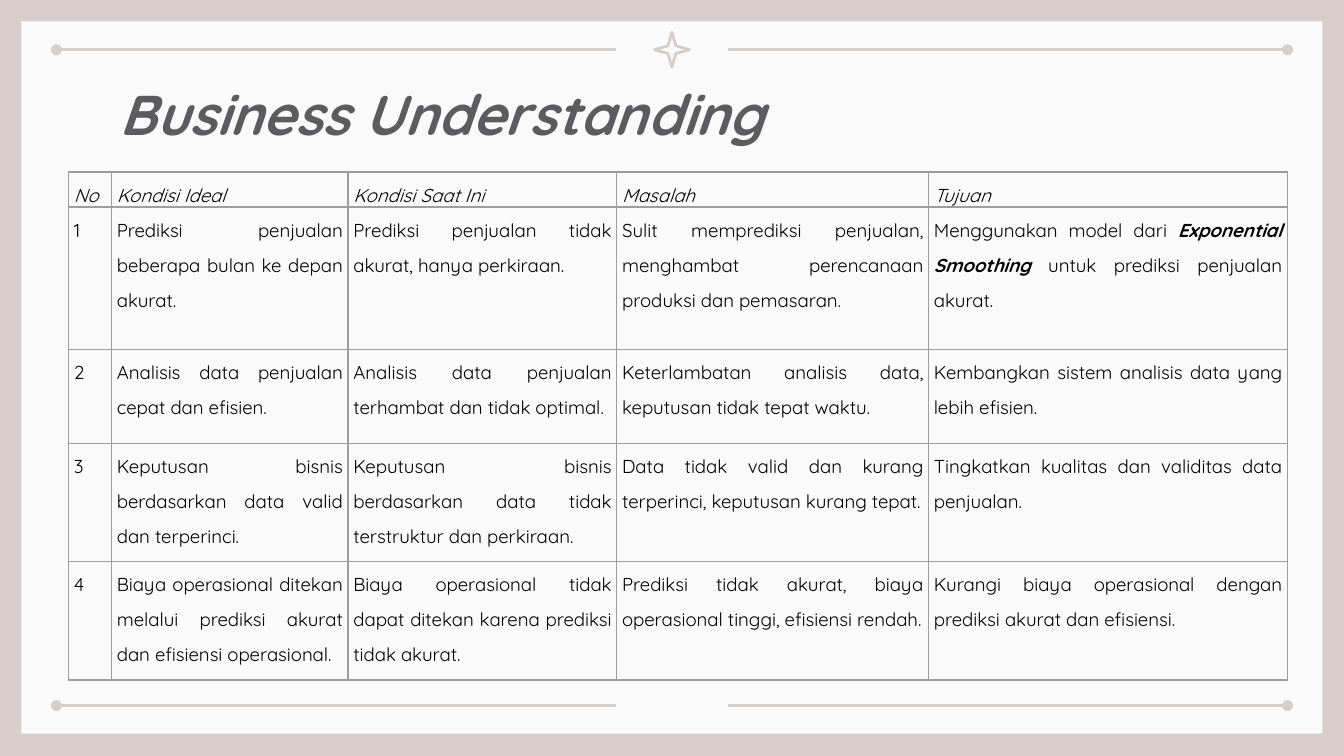
"""Build the Business Understanding slide with its framed table."""
from pptx import Presentation
from pptx.dml.color import RGBColor
from pptx.enum.shapes import MSO_CONNECTOR, MSO_SHAPE
from pptx.enum.text import MSO_ANCHOR, PP_ALIGN
from pptx.oxml import parse_xml
from pptx.oxml.ns import nsdecls
from pptx.util import Inches, Pt

BEIGE = RGBColor(0xD8, 0xCE, 0xC9)
PAPER = RGBColor(0xFA, 0xFA, 0xFA)
GREY = RGBColor(0x5C, 0x5C, 0x5F)
BORDER = RGBColor(0x9E, 0x9E, 0x9E)
BLACK = RGBColor(0, 0, 0)
FONT = "Quicksand"

COLUMN_WIDTHS = [0.32, 1.76, 2, 2.32, 2.67]
ROW_HEIGHTS = [0.26, 1.06, 0.7, 0.88, 0.88]
EMPHASIS_MARK = "*"
ROWS = [
    ["No", "Kondisi Ideal", "Kondisi Saat Ini", "Masalah", "Tujuan"],
    ["1", "Prediksi penjualan beberapa bulan ke depan akurat.",
     "Prediksi penjualan tidak akurat, hanya perkiraan.",
     "Sulit memprediksi penjualan, menghambat perencanaan produksi dan pemasaran.",
     "Menggunakan model dari *Exponential Smoothing* untuk prediksi penjualan akurat."],
    ["2", "Analisis data penjualan cepat dan efisien.",
     "Analisis data penjualan terhambat dan tidak optimal.",
     "Keterlambatan analisis data, keputusan tidak tepat waktu.",
     "Kembangkan sistem analisis data yang lebih efisien."],
    ["3", "Keputusan bisnis berdasarkan data valid dan terperinci.",
     "Keputusan bisnis berdasarkan data tidak terstruktur dan perkiraan.",
     "Data tidak valid dan kurang terperinci, keputusan kurang tepat.",
     "Tingkatkan kualitas dan validitas data penjualan."],
    ["4", "Biaya operasional ditekan melalui prediksi akurat dan efisiensi operasional.",
     "Biaya operasional tidak dapat ditekan karena prediksi tidak akurat.",
     "Prediksi tidak akurat, biaya operasional tinggi, efisiensi rendah.",
     "Kurangi biaya operasional dengan prediksi akurat dan efisiensi."],
]


def add_run(paragraph, text, size, color, bold, italic):
    run = paragraph.add_run()
    run.text = text
    font = run.font
    font.name, font.size, font.bold, font.italic = FONT, Pt(size), bold, italic
    font.color.rgb = color


def add_borders(cell):
    properties = cell._tc.get_or_add_tcPr()
    for position, side in enumerate(("lnL", "lnR", "lnT", "lnB")):
        properties.insert(position, parse_xml(
            f'<a:{side} {nsdecls("a")} w="{Pt(0.75)}"><a:solidFill>'
            f'<a:srgbClr val="{BORDER}"/></a:solidFill></a:{side}>'))


presentation = Presentation()
presentation.slide_width = Inches(10)
presentation.slide_height = Inches(10 * 9 / 16)
slide = presentation.slides.add_slide(presentation.slide_layouts[5])
slide.background.fill.solid()
slide.background.fill.fore_color.rgb = BEIGE
shapes = slide.shapes

panel = shapes.add_shape(MSO_SHAPE.RECTANGLE, Inches(0.16), Inches(0.16), Inches(9.68), Inches(5.3))
panel.shadow.inherit = False
panel.fill.solid()
panel.fill.fore_color.rgb = PAPER
panel.line.fill.background()

star = shapes.add_shape(MSO_SHAPE.STAR_4_POINT, Inches(4.87), Inches(0.24), Inches(0.26), Inches(0.26))
star.shadow.inherit = False
star.adjustments[0] = 0.157
star.fill.background()
star.line.color.rgb = BEIGE
star.line.width = Pt(1.5)

for y in (0.37, 5.25):
    for start, end, dot in ((0.42, 4.58, "headEnd"), (5.42, 9.58, "tailEnd")):
        rule = shapes.add_connector(
            MSO_CONNECTOR.STRAIGHT, Inches(start), Inches(y), Inches(end), Inches(y))
        rule.line.color.rgb = BEIGE
        rule.line.width = Pt(1.5)
        rule.line._get_or_add_ln().append(parse_xml(f'<a:{dot} {nsdecls("a")} type="oval"/>'))
        rule._element.spPr.append(parse_xml(f'<a:effectLst {nsdecls("a")}/>'))

title = shapes.title
title.left, title.top, title.width, title.height = map(Inches, (0.79, 0.49, 8.43, 0.63))
frame = title.text_frame
frame.margin_left = frame.margin_right = frame.margin_top = frame.margin_bottom = Inches(0.1)
frame.vertical_anchor = MSO_ANCHOR.TOP
frame.word_wrap = True
paragraph = frame.paragraphs[0]
paragraph.alignment = PP_ALIGN.LEFT
add_run(paragraph, "Business Understanding", 30, GREY, True, True)
title.element.getparent().append(title.element)

table = shapes.add_table(
    len(ROWS), len(COLUMN_WIDTHS), Inches(0.51), Inches(1.28),
    Inches(sum(COLUMN_WIDTHS)), Inches(sum(ROW_HEIGHTS))).table
table.first_row = table.horz_banding = False
for column, width in zip(table.columns, COLUMN_WIDTHS):
    column.width = Inches(width)
for row_index, (row, height, texts) in enumerate(zip(table.rows, ROW_HEIGHTS, ROWS)):
    row.height = Inches(height)
    for cell, text in zip(row.cells, texts):
        cell.fill.background()
        cell.margin_left = cell.margin_right = Inches(0.04)
        cell.margin_top = cell.margin_bottom = 0
        add_borders(cell)
        paragraph = cell.text_frame.paragraphs[0]
        paragraph.alignment = PP_ALIGN.JUSTIFY
        paragraph.line_spacing = 1.5
        for part_index, part in enumerate(text.split(EMPHASIS_MARK)):
            emphasized = part_index % 2 == 1
            add_run(paragraph, part, 10, BLACK, emphasized, emphasized or row_index == 0)

presentation.save("out.pptx")
